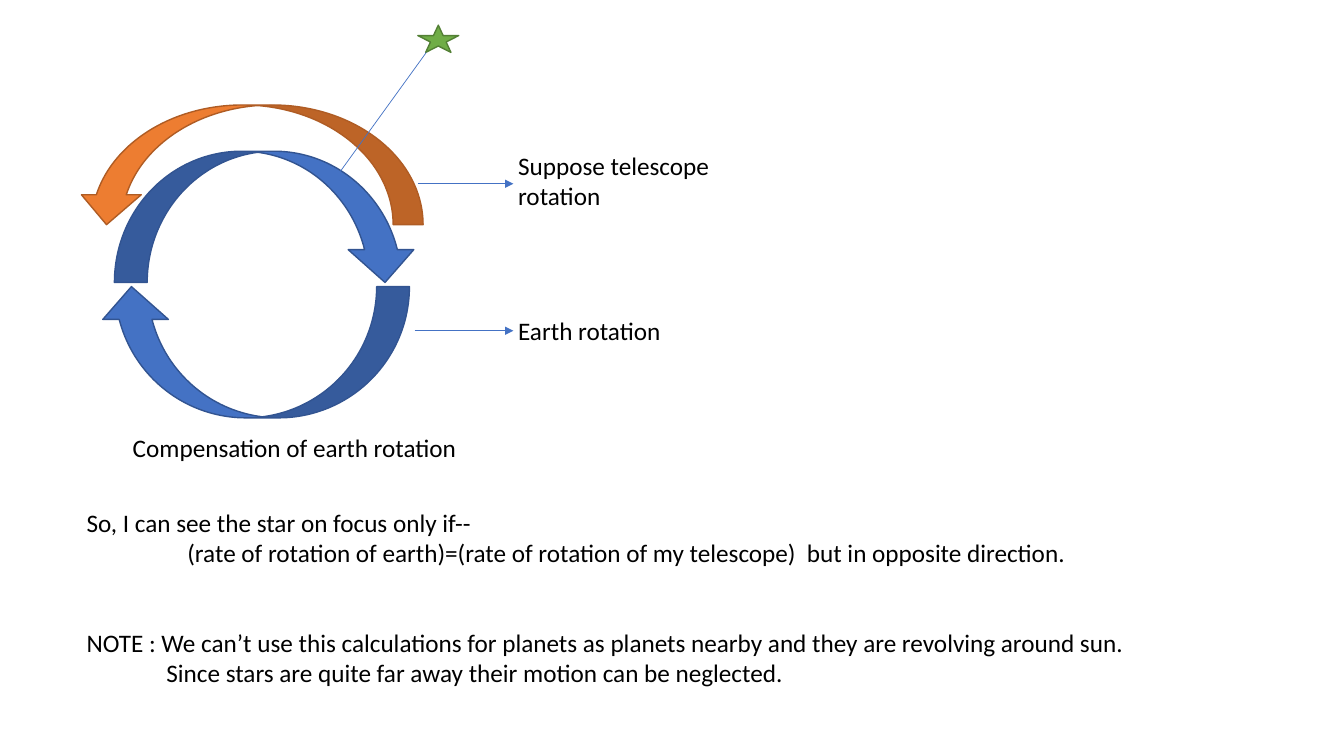
from collections import namedtuple

from lxml.etree import SubElement
from pptx import Presentation
from pptx.dml.color import RGBColor
from pptx.enum.shapes import MSO_CONNECTOR, MSO_SHAPE
from pptx.enum.text import MSO_ANCHOR
from pptx.oxml.ns import qn
from pptx.util import Emu, Pt

PX = 9525
FONT = "Calibri"
BLACK = RGBColor(0x00, 0x00, 0x00)
BLUE = RGBColor(0x44, 0x72, 0xC4)
DARK_BLUE = RGBColor(0x32, 0x54, 0x91)
ORANGE = RGBColor(0xED, 0x7D, 0x31)
DARK_ORANGE = RGBColor(0xAF, 0x5C, 0x24)
GREEN = RGBColor(0x70, 0xAD, 0x47)
DARK_GREEN = RGBColor(0x53, 0x80, 0x35)

Box = namedtuple("Box", "left top width height")


def px(length):
    """Turn whole pixels into EMU."""
    return Emu(length * PX)


def inside(box, left, top, width, height):
    """Return a box placed relative to the corner of another."""
    return Box(box.left + left, box.top + top, width, height)


def add_text(shapes, box, lines):
    """Add 18-point text; each line is (words, indent px, points before)."""
    frame = shapes.add_textbox(*map(px, box)).text_frame
    frame.word_wrap = True
    frame.vertical_anchor = MSO_ANCHOR.TOP
    for index, (words, indent, before) in enumerate(lines):
        para = frame.add_paragraph() if index else frame.paragraphs[0]
        para.text = words
        para.space_before = Pt(before)
        para.font.name = FONT
        para.font.size = Pt(18)
        para.font.color.rgb = BLACK
        if indent:
            properties = para._p.get_or_add_pPr()
            properties.set("marL", str(px(indent)))
            properties.set("indent", "0")


def add_figure(shapes, preset, box, fill, outline, flips=()):
    """Add a filled preset shape, mirrored along the given flips."""
    shape = shapes.add_shape(preset, *map(px, box))
    shape.shadow.inherit = False
    shape.fill.solid()
    shape.fill.fore_color.rgb = fill
    shape.line.color.rgb = outline
    shape.line.width = Pt(1)
    for flip in flips:
        shape._element.spPr.get_or_add_xfrm().set(flip, "1")


def add_line(shapes, box, start, end, arrow=False):
    """Add a thin blue line between two points of a box."""
    points = [px(corner + offset) for point in (start, end)
              for corner, offset in zip(box[:2], point)]
    line = shapes.add_connector(MSO_CONNECTOR.STRAIGHT, *points)
    line.line.color.rgb = BLUE
    line.line.width = Pt(0.5)
    if arrow:
        SubElement(line.line._get_or_add_ln(), qn("a:tailEnd"), type="triangle")
    SubElement(line._element.spPr, qn("a:effectLst"))


def draw_rotation_diagram(slide, box):
    """Draw the rotation arrows, the star and their labels."""
    shapes = slide.shapes.add_group_shape().shapes
    labels = [
        ("Suppose telescope rotation", (411, 114, 277, 68)),
        ("Earth rotation", (411, 272, 312, 38)),
        ("Compensation of earth rotation", (44, 383, 418, 38)),
    ]
    for words, place in labels:
        add_text(shapes, inside(box, *place), [(words, 0, 0)])
    for left, top in ((322, 291), (325, 151)):
        add_line(shapes, box, (left, top), (416, top), arrow=True)
    rotations = [
        ((36, 120, 289, 125), BLUE, DARK_BLUE, ()),
        ((21, 249, 296, 125), BLUE, DARK_BLUE, ("flipH", "flipV")),
        ((0, 76, 330, 114), ORANGE, DARK_ORANGE, ("flipH",)),
    ]
    for place, fill, outline, flips in rotations:
        add_figure(shapes, MSO_SHAPE.CURVED_DOWN_ARROW, inside(box, *place),
                   fill, outline, flips)
    add_figure(shapes, MSO_SHAPE.STAR_5_POINT, inside(box, 325, 0, 39, 26),
               GREEN, DARK_GREEN)
    add_line(shapes, box, (247, 145), (333, 26))


def write_conclusion(slide, box):
    """Write the focus condition and the note on planets."""
    add_text(slide.shapes, box, [
        ("So, I can see the star on focus only if--", 0, 0),
        ("(rate of rotation of earth)=(rate of rotation of my telescope)  "
         "but in opposite direction.", 96, 0),
        ("NOTE : We can’t use this calculations for planets as planets nearby "
         "and they are revolving around sun.", 0, 43),
        ("Since stars are quite far away their motion can be neglected.", 76, 0),
    ])


def main():
    """Build and save the deck."""
    deck = Presentation()
    deck.slide_width, deck.slide_height = px(1280), px(720)
    slide = deck.slides.add_slide(deck.slide_layouts[6])
    write_conclusion(slide, Box(73, 478, 1224, 184))
    draw_rotation_diagram(slide, Box(73, 24, 723, 421))
    deck.save("out.pptx")


if __name__ == "__main__":
    main()
